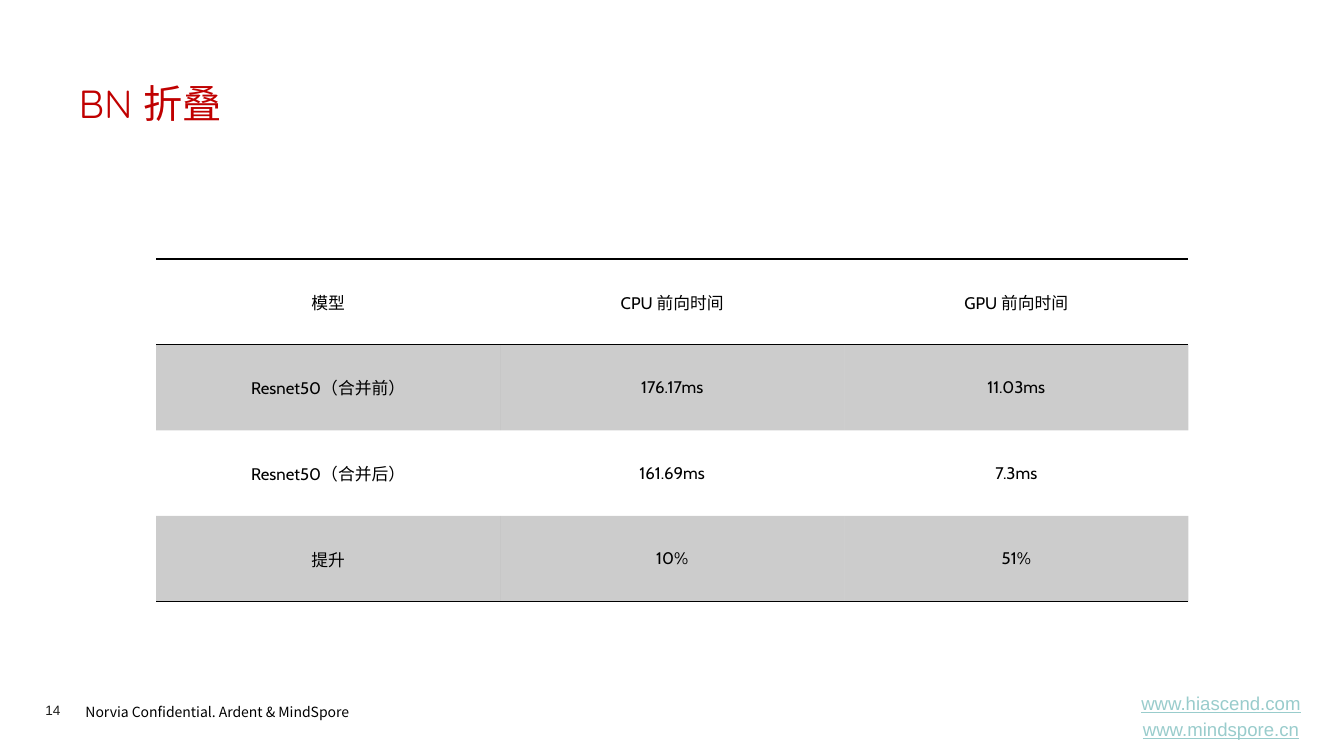
"""Build the slide on BN folding, with its table of forward times."""
from dataclasses import dataclass

from lxml import etree
from pptx import Presentation
from pptx.dml.color import RGBColor
from pptx.enum.text import MSO_ANCHOR, MSO_AUTO_SIZE, PP_ALIGN
from pptx.oxml.ns import qn
from pptx.util import Inches, Pt

TOP, MIDDLE = MSO_ANCHOR.TOP, MSO_ANCHOR.MIDDLE
LEFT, CENTER = PP_ALIGN.LEFT, PP_ALIGN.CENTER
FIXED = MSO_AUTO_SIZE.NONE

BLACK = RGBColor(0x00, 0x00, 0x00)
INK = RGBColor(0x1D, 0x1D, 0x1B)
RED = RGBColor(0xC0, 0x00, 0x00)
TEAL = RGBColor(0x99, 0xCC, 0xCC)

WIDTH, HEIGHT = Inches(13.34), Inches(7.5)
PLAIN_STYLE = "{2D5ABB26-0587-4C30-8999-92F81FD0307C}"
ROWS = (
    ("模型", "CPU 前向时间", "GPU 前向时间"),
    ("Resnet50（合并前）", "176.17ms", "11.03ms"),
    ("Resnet50（合并后）", "161.69ms", "7.3ms"),
    ("提升", "10%", "51%"),
)
EDGES = {0: ("a:lnT", "a:lnB"), len(ROWS) - 1: ("a:lnB",)}


@dataclass(frozen=True)
class Area:
    """Hold a place in percent of the slide's width and height."""
    left: float
    top: float
    width: float
    height: float

    def box(self) -> tuple[int, int, int, int]:
        """Give the place in slide units."""
        return (int(WIDTH * self.left / 100), int(HEIGHT * self.top / 100),
                int(WIDTH * self.width / 100), int(HEIGHT * self.height / 100))


@dataclass(frozen=True)
class Style:
    """Hold the look of a text."""
    font: str
    size: float
    color: RGBColor
    align: PP_ALIGN = LEFT
    anchor: MSO_ANCHOR = TOP
    under: bool = False
    spacing: float = 1.0
    inset: bool = True


@dataclass(frozen=True)
class Label:
    """Hold the lines, place and look of a text box."""
    lines: tuple[str, ...]
    area: Area
    style: Style


TITLE = Label(("BN 折叠",), Area(5.1, 9.87, 89.88, 8.53),
              Style("Quicksand", 28, RED))
LABELS = (
    Label(("Norvia Confidential. Ardent & MindSpore",), Area(5.62, 92, 23.46, 3.87),
          Style("Noto Sans CJK SC", 10, BLACK, spacing=1.2)),
    Label(("14",), Area(3.37, 92.8, 4.12, 2.13),
          Style("Arial", 9.7, INK, inset=False)),
    Label(("www.hiascend.com", "www.mindspore.cn"), Area(82.76, 91.9, 16.19, 5.73),
          Style("Arial", 13.3, TEAL, CENTER, MIDDLE, under=True)),
)
TABLE = Area(11.62, 34.27, 76.8, 45.33)
CELL = Style("Cabin", 12, BLACK, CENTER, MIDDLE)


def write(frame, lines: tuple[str, ...], style: Style) -> None:
    """Fill a text frame with styled lines."""
    frame.text = "\n".join(lines)
    for index, para in enumerate(frame.paragraphs):
        para.alignment = style.align
        para.line_spacing = style.spacing
        para.space_before = Pt(0.2 * style.size if index else 0)
        para.font.name = style.font
        para.font.size = Pt(style.size)
        para.font.color.rgb = style.color
        para.font.underline = style.under


def place(shape, label: Label) -> None:
    """Move a text shape and write its label."""
    shape.left, shape.top, shape.width, shape.height = label.area.box()
    frame = shape.text_frame
    write(frame, label.lines, label.style)
    frame.word_wrap = True
    frame.auto_size = FIXED
    frame.vertical_anchor = label.style.anchor
    if not label.style.inset:
        frame.margin_left = frame.margin_right = 0
        frame.margin_top = frame.margin_bottom = 0


def rule(props, edge: str) -> None:
    """Draw a black line of one point on a cell's edge."""
    line = etree.SubElement(props, qn(edge), w=str(Pt(1)))
    fill = etree.SubElement(line, qn("a:solidFill"))
    etree.SubElement(fill, qn("a:srgbClr"), val=str(BLACK))


def shade(cell, props) -> None:
    """Fill a cell with black at a fifth of its strength."""
    cell.fill.solid()
    cell.fill.fore_color.rgb = BLACK
    tint = props.find(qn("a:solidFill")).find(qn("a:srgbClr"))
    etree.SubElement(tint, qn("a:alpha"), val="20000")


def draw_table(slide) -> None:
    """Add the table of forward times."""
    frame = slide.shapes.add_table(len(ROWS), len(ROWS[0]), *TABLE.box())
    table = frame.table
    table.first_row = table.horz_banding = False
    next(frame.element.iter(qn("a:tableStyleId"))).text = PLAIN_STYLE
    for row, texts in enumerate(ROWS):
        for col, text in enumerate(texts):
            cell = table.cell(row, col)
            write(cell.text_frame, (text,), CELL)
            cell.vertical_anchor = CELL.anchor
            props = cell.text_frame._element.getparent().find(qn("a:tcPr"))
            for edge in EDGES.get(row, ()):
                rule(props, edge)
            if row % 2:
                shade(cell, props)
            else:
                cell.fill.background()


def main() -> None:
    """Build and save the slide."""
    deck = Presentation()
    deck.slide_width, deck.slide_height = WIDTH, HEIGHT
    slide = deck.slides.add_slide(deck.slide_layouts.get_by_name("Title Only"))
    for label in LABELS:
        place(slide.shapes.add_textbox(*label.area.box()), label)
    place(slide.shapes.title, TITLE)
    draw_table(slide)
    deck.save("out.pptx")


if __name__ == "__main__":
    main()
